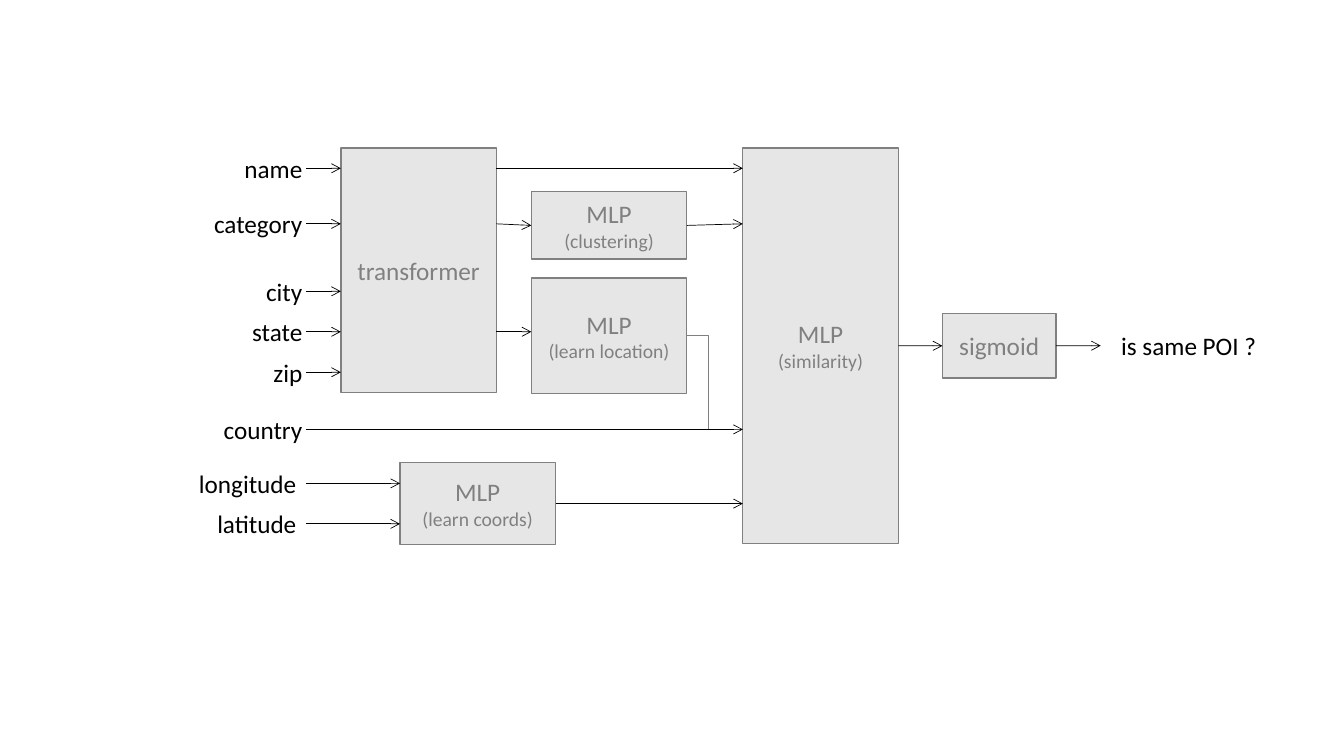
from lxml import etree
from pptx import Presentation
from pptx import util as u
from pptx.dml.color import RGBColor
from pptx.enum import shapes, text
from pptx.oxml.ns import qn

LEFT, RIGHT = 1, 3


def paint(target, colour):
    target.rgb = RGBColor.from_string(colour)


def apply(target, values):
    for name, value in values.items():
        setattr(target, name, value)


class Diagram:
    ink, grey, panel = "000000", "808080", "E7E6E6"
    heading = {"name": "Calibri", "size": u.Pt(18)}
    detail = {"name": "Calibri", "size": u.Pt(14)}
    label_frame = {"word_wrap": False, "auto_size": text.MSO_AUTO_SIZE.SHAPE_TO_FIT_TEXT}
    box_frame = {"word_wrap": True, "vertical_anchor": text.MSO_ANCHOR.MIDDLE}
    label_height = 1.02

    def __init__(self, page):
        self.page = page

    def add_words(self, para, words, font, colour, align):
        para.alignment = align
        span = para.add_run()
        span.text = words
        apply(span.font, font)
        paint(span.font.color, colour)

    def label(self, words, right, top, width):
        area = (u.Cm(v) for v in (right - width, top, width, self.label_height))
        frame = self.page.shapes.add_textbox(*area).text_frame
        apply(frame, self.label_frame)
        self.add_words(frame.paragraphs[0], words, self.heading, self.ink, text.PP_ALIGN.RIGHT)

    def box(self, left, top, width, height, title, note=None):
        area = (u.Cm(v) for v in (left, top, width, height))
        box = self.page.shapes.add_shape(shapes.MSO_SHAPE.RECTANGLE, *area)
        box.shadow.inherit = False
        box.fill.solid()
        paint(box.fill.fore_color, self.panel)
        paint(box.line.color, self.grey)
        box.line.width = u.Pt(1)
        frame = box.text_frame
        apply(frame, self.box_frame)
        center = text.PP_ALIGN.CENTER
        self.add_words(frame.paragraphs[0], title, self.heading, self.grey, center)
        if note:
            self.add_words(frame.add_paragraph(), note, self.detail, self.grey, center)
        return box

    def line(self, kind, start, end, colour):
        ends = (u.Cm(v) for v in (*start, *end))
        line = self.page.shapes.add_connector(kind, *ends)
        paint(line.line.color, colour)
        line.line.width = u.Pt(0.5)
        etree.SubElement(line._element.spPr, qn("a:effectLst"))
        return line

    def arrow(self, start, end, source=None, target=None):
        line = self.line(shapes.MSO_CONNECTOR.STRAIGHT, start, end, self.ink)
        if source is not None:
            line.begin_connect(source, RIGHT)
        if target is not None:
            line.end_connect(target, LEFT)
        outline = line._element.spPr.find(qn("a:ln"))
        etree.SubElement(outline, qn("a:tailEnd"), type="arrow")

    def corner(self, start, end):
        line = self.line(shapes.MSO_CONNECTOR.ELBOW, start, end, self.grey)
        line._element.spPr.find(qn("a:prstGeom")).set("prst", "bentConnector2")


def main():
    deck = Presentation()
    deck.slide_width, deck.slide_height = u.Cm(33.87), u.Cm(19.05)
    diagram = Diagram(deck.slides.add_slide(deck.slide_layouts[6]))

    top, wide = 3.73, 3.92
    encoder_x, mlp_x, coords_x, similarity_x, sigmoid_x = 8.59, 13.39, 10.08, 18.72, 23.75
    encoder_end, mlp_end, coords_end, similarity_end = (
        x + wide for x in (encoder_x, mlp_x, coords_x, similarity_x))
    sigmoid_wide, output_x = 2.86, 27.74
    input_x, label_end, coords_label_end = 7.72, 7.87, 7.72

    diagram.box(encoder_x, top, wide, 6.17, "transformer")
    clustering = diagram.box(mlp_x, 4.83, wide, 1.7, "MLP", "(clustering)")
    diagram.box(mlp_x, 7.01, wide, 2.9, "MLP", "(learn location)")
    coords = diagram.box(coords_x, 11.66, wide, 2.06, "MLP", "(learn coords)")
    similarity = diagram.box(similarity_x, top, wide, 9.96, "MLP", "(similarity)")
    sigmoid = diagram.box(sigmoid_x, 7.9, sigmoid_wide, 1.63, "sigmoid")

    inputs = [
        ("name", 4.24, 2.06, label_end, encoder_x),
        ("category", 5.64, 2.97, label_end, encoder_x),
        ("city", 7.34, 1.57, label_end, encoder_x),
        ("state", 8.36, 1.96, label_end, encoder_x),
        ("zip", 9.38, 1.35, label_end, encoder_x),
        ("country", 10.82, 2.67, label_end, similarity_x),
        ("longitude", 12.18, 3.18, coords_label_end, coords_x),
        ("latitude", 13.2, 2.77, coords_label_end, coords_x),
    ]
    row = {}
    for words, y, width, right, target_x in inputs:
        row[words] = y
        diagram.label(words, right, y - diagram.label_height / 2, width)
        diagram.arrow((input_x, y), (target_x, y))

    output_y = 8.71
    flows = [
        (encoder_end, similarity_x, row["name"], None, None),
        (encoder_end, mlp_x, row["category"], None, clustering),
        (encoder_end, mlp_x, row["state"], None, None),
        (mlp_end, similarity_x, row["category"], clustering, None),
        (coords_end, similarity_x, 12.69, coords, None),
        (similarity_end, sigmoid_x, output_y, similarity, sigmoid),
        (sigmoid_x + sigmoid_wide, output_x, output_y, sigmoid, None),
    ]
    for start_x, end_x, y, source, target in flows:
        diagram.arrow((start_x, y), (end_x, y), source, target)
    diagram.corner((mlp_end, 8.46), (17.86, row["country"]))

    output_wide = 4.17
    diagram.label("is same POI ?", output_x + output_wide,
                  output_y - diagram.label_height / 2, output_wide)
    deck.save("out.pptx")


if __name__ == "__main__":
    main()
